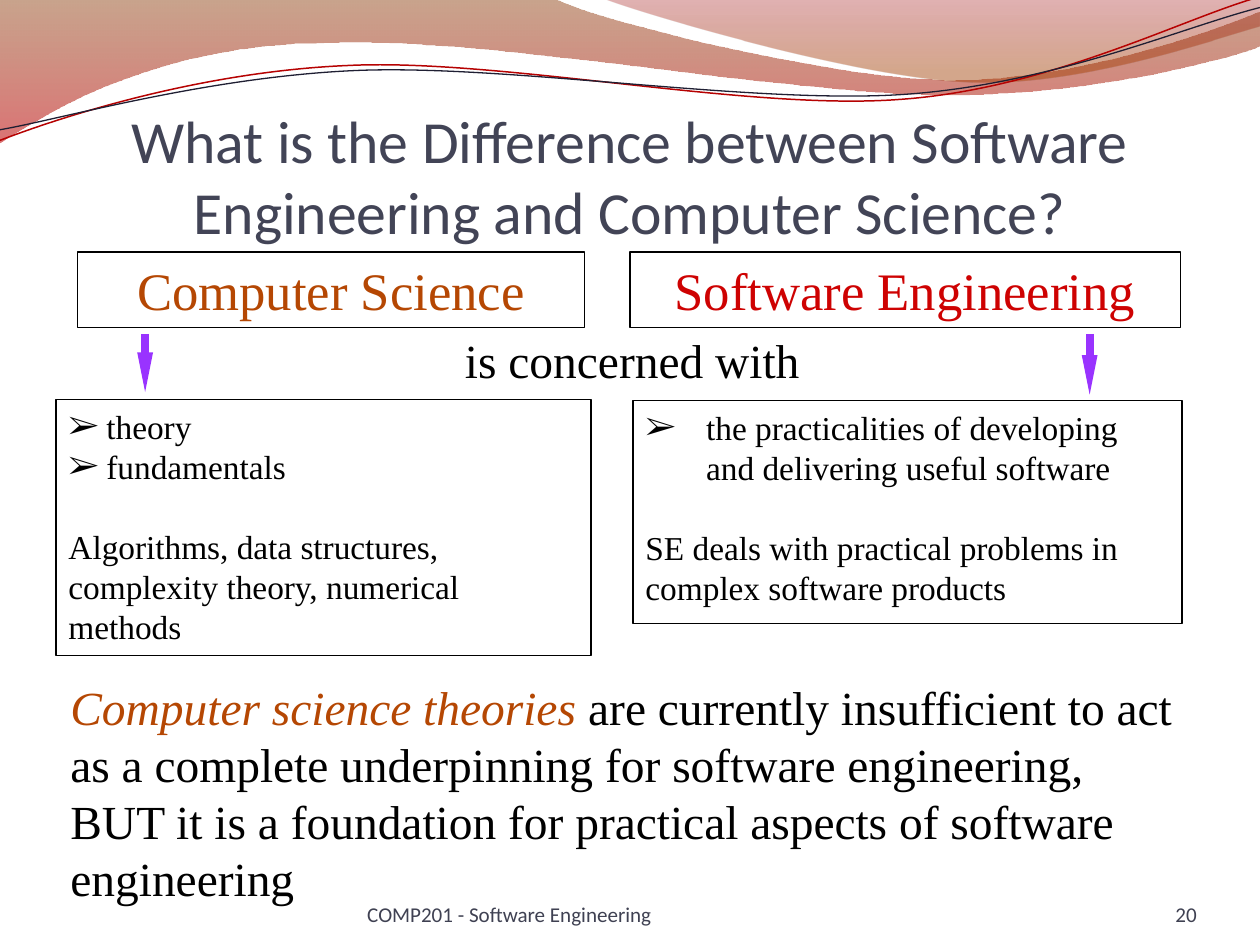
from lxml.etree import SubElement
from pptx import Presentation
from pptx.dml.color import RGBColor
from pptx.enum.shapes import MSO_CONNECTOR, MSO_SHAPE
from pptx.enum.text import MSO_ANCHOR, MSO_AUTO_SIZE, PP_ALIGN
from pptx.oxml.ns import qn
from pptx.util import Inches, Pt

COLORS = {
    "title": "424456", "footer": "3F4152", "ink": "000000",
    "science": "B54703", "engineering": "CE0202", "arrow": "9933FF",
    "brown": "883400", "red": "BD0000", "crimson": "9A0000", "orange": "A23E00",
    "red line": "B60202", "dark line": "1F1F33",
}
BROAD_WAVE = [
    [(0, 0)], [(44, -0.1)],
    [(47.6, 1.7), (66.4, 6.3), (75.8, 6.3)], [(85.3, 6.3), (95.8, 2.6), (100, 0.9)],
    [(100.1, 3.6)],
    [(98.3, 4.4), (86.9, 7.6), (74.6, 7.5)], [(62.1, 7.5), (38.2, 2.8), (25.7, 3.4)],
    [(13, 3.5), (4.6, 8.3), (-0.1, 11.35)],
]
RIGHT_WAVE = [
    [(47.9, -0.1)],
    [(50.9, 1.1), (68.2, 6.2), (76.9, 6.5)], [(85.5, 6.9), (96.1, 3.2), (100, 2.1)],
    [(100, 0)],
]
RED_CURVE = [
    [(0, 11.14)], [(4.8, 9.3), (15.8, 5.7), (27.6, 5.2)],
    [(39.6, 4.6), (59.2, 8.8), (71.3, 7.9)], [(83.2, 7.1), (93.8, 1.5), (99.8, -0.2)],
]
DARK_CURVE = [
    [(0, 10.3)], [(4.7, 9.5), (16.4, 6.1), (28.3, 5.6)],
    [(40.3, 5.1), (59.7, 8.3), (71.7, 7.5)], [(83.6, 6.7), (94, 2.1), (100, 0.6)],
]


def color(name):
    """Return the named colour."""
    return RGBColor.from_string(COLORS[name])


class SlideBuilder:
    """Draw styled elements on a slide divided into 100 columns and 75 rows."""

    body_font, heading_font = "Times New Roman", "Calibri"
    columns = 100

    def __init__(self, presentation):
        """Add a title-only slide and measure its grid."""
        self.cell = presentation.slide_width / self.columns
        self.slide = presentation.slides.add_slide(presentation.slide_layouts[5])
        self.shapes = self.slide.shapes

    def lengths(self, *cells):
        """Convert grid cells to slide units."""
        return [round(value * self.cell) for value in cells]

    def style(self, paragraph, size, ink="ink", font=None, align=PP_ALIGN.LEFT):
        """Format a paragraph and its runs."""
        paragraph.alignment = align
        for run in paragraph.runs:
            run.font.size, run.font.name = Pt(size), font or self.body_font
            run.font.color.rgb = color(ink)

    def frame(self, shape, insets=(0.1, 0.05, 0.1, 0.05), anchor=MSO_ANCHOR.TOP):
        """Set the wrapping, insets and anchor of a text frame."""
        frame = shape.text_frame
        frame.word_wrap, frame.auto_size = True, MSO_AUTO_SIZE.NONE
        frame.vertical_anchor = anchor
        frame.margin_left, frame.margin_top, frame.margin_right, frame.margin_bottom = map(Inches, insets)
        return frame

    def title(self, text, place):
        """Fill and place the title."""
        title = self.shapes.title
        title.left, title.top, title.width, title.height = self.lengths(*place)
        frame = self.frame(title, (0, 0.05, 0, 0), MSO_ANCHOR.BOTTOM)
        frame.text = text
        self.style(frame.paragraphs[0], 34, "title", self.heading_font, PP_ALIGN.CENTER)

    def text(self, text, place, size, ink="ink", align=PP_ALIGN.LEFT):
        """Add borderless body text and return its paragraph."""
        frame = self.frame(self.shapes.add_textbox(*self.lengths(*place)))
        frame.text = text
        self.style(frame.paragraphs[0], size, ink, align=align)
        return frame.paragraphs[0]

    def footer(self, text, place, align=PP_ALIGN.LEFT):
        """Add a footer text."""
        frame = self.frame(self.shapes.add_textbox(*self.lengths(*place)), (0, 0, 0, 0), MSO_ANCHOR.BOTTOM)
        frame.text = text
        self.style(frame.paragraphs[0], 12, "footer", self.heading_font, align)

    def box(self, text, place, size, ink="ink", align=PP_ALIGN.LEFT):
        """Add an outlined box and return its paragraphs."""
        shape = self.shapes.add_shape(MSO_SHAPE.RECTANGLE, *self.lengths(*place))
        shape.shadow.inherit = False
        shape.fill.background()
        shape.line.color.rgb, shape.line.width = color("ink"), Pt(0.75)
        frame = self.frame(shape)
        frame.text = text
        for paragraph in frame.paragraphs:
            self.style(paragraph, size, ink, align=align)
        return frame.paragraphs

    def topic(self, bullets, summary, place, indent):
        """Add a box of bullets followed by a summary."""
        *items, closing = self.box("\n".join([*bullets, summary]), place, 19)
        closing.space_before = Pt(22.8)
        for item in items:
            properties = item._p.get_or_add_pPr()
            properties.set("marL", str(Inches(indent)))
            properties.set("indent", str(-Inches(indent)))
            SubElement(properties, qn("a:buFont"), typeface=self.body_font)
            SubElement(properties, qn("a:buChar"), char="➢")

    def arrow(self, column, top, bottom):
        """Add a downward arrow."""
        ends = self.lengths(column, top, column, bottom)
        connector = self.shapes.add_connector(MSO_CONNECTOR.STRAIGHT, *ends)
        connector.line.color.rgb, connector.line.width = color("arrow"), Pt(4.5)
        SubElement(connector.line._get_or_add_ln(), qn("a:tailEnd"), type="triangle", w="sm", len="lg")
        SubElement(connector._element.spPr, qn("a:effectLst"))

    def outline(self, segments, close):
        """Add a freeform of straight and Bézier segments."""
        start, *points = [self.lengths(*point) for segment in segments for point in segment]
        builder = self.shapes.build_freeform(*start)
        builder.add_line_segments(points, close=close)
        shape = builder.convert_to_shape()
        shape.shadow.inherit = False
        lines = iter(list(shape._element.iter(qn("a:lnTo"))))
        for segment in segments[1:]:
            first, *others = [next(lines) for _ in segment]
            if others:
                first.tag = qn("a:cubicBezTo")
                for line in others:
                    first.append(line[0])
                    line.getparent().remove(line)
        return shape

    def wave(self, segments, stops):
        """Add a translucent wave shaded from top to bottom."""
        shape = self.outline(segments, True)
        shape.line.fill.background()
        shape.fill.gradient()
        shape.fill.gradient_angle = 270
        for stop, (position, name, opacity) in zip(shape.fill.gradient_stops, stops):
            stop.position, stop.color.rgb = position, color(name)
            SubElement(stop._gs.find(qn("a:srgbClr")), qn("a:alpha"), val=str(opacity * 1000))

    def curve(self, segments, ink, width):
        """Add a thin curved line."""
        shape = self.outline(segments, False)
        shape.fill.background()
        shape.line.color.rgb, shape.line.width = color(ink), Pt(width)


def main():
    """Build and save the slide."""
    presentation = Presentation()
    presentation.slide_width, presentation.slide_height = Inches(9.96), Inches(7.47)
    builder = SlideBuilder(presentation)
    center = PP_ALIGN.CENTER

    builder.wave(BROAD_WAVE, [(0, "brown", 45), (1, "red", 55)])
    builder.wave(RIGHT_WAVE, [(0, "crimson", 30), (0.8, "orange", 45)])
    builder.curve(RED_CURVE, "red line", 0.85)
    builder.curve(DARK_CURVE, "dark line", 0.75)

    builder.title("What is the Difference between Software Engineering and Computer Science?",
                  (4.55, 4.72, 90.86, 14.86))
    builder.box("Computer Science", (6.14, 20, 40.26, 6), 30, "science", center)
    builder.box("Software Engineering", (50, 20, 43.67, 6), 30, "engineering", center)
    builder.text("is concerned with", (30.75, 25.8, 38.86, 5.72), 27, align=center)

    theories = builder.text("Computer science theories", (4.6, 53.3, 89.96, 20.4), 27, "science")
    theories.runs[0].font.italic = True
    conclusion = theories.add_run()
    conclusion.text = (" are currently insufficient to act as a complete underpinning for software "
                       "engineering, BUT it is a foundation for practical aspects of software engineering")
    conclusion.font.size, conclusion.font.name = Pt(27), builder.body_font
    conclusion.font.color.rgb = color("ink")

    builder.topic(["theory", "fundamentals"],
                  "Algorithms, data structures, complexity theory, numerical methods",
                  (4.45, 31.73, 42.47, 20.28), 0.3)
    builder.arrow(11.52, 26.5, 31.12)
    builder.topic(["the practicalities of developing and delivering useful software"],
                  "SE deals with practical problems in complex software products",
                  (50.24, 31.8, 43.57, 17.67), 0.48)
    builder.arrow(86.48, 26.5, 31.32)

    builder.footer("20", (86.65, 69.55, 8.33, 4), PP_ALIGN.RIGHT)
    builder.footer("COMP201 - Software Engineering", (29.15, 69.55, 36.65, 4))
    presentation.save("out.pptx")


if __name__ == "__main__":
    main()
